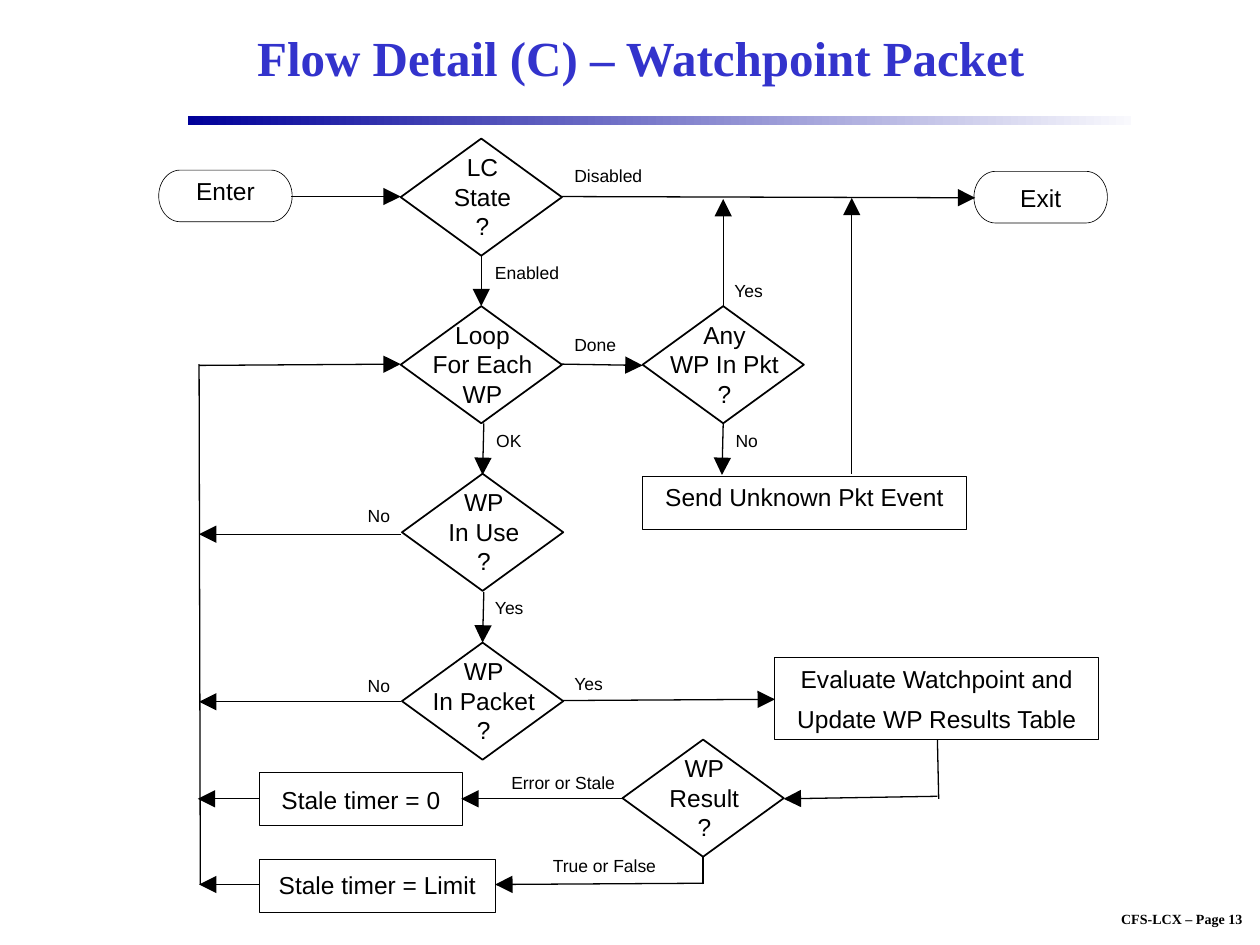
"""Build the watchpoint packet flow chart slide."""
from dataclasses import dataclass

from lxml.etree import SubElement
from pptx import Presentation
from pptx.dml.color import RGBColor
from pptx.enum.shapes import MSO_CONNECTOR, MSO_SHAPE
from pptx.enum.text import MSO_ANCHOR, MSO_AUTO_SIZE, PP_ALIGN
from pptx.oxml.ns import qn
from pptx.util import Inches, Pt


@dataclass(frozen=True)
class Theme:
    ink: RGBColor = RGBColor(0, 0, 0)
    title: RGBColor = RGBColor(0x33, 0x33, 0xCC)
    rule_dark: RGBColor = RGBColor(0, 0, 0x99)
    rule_light: RGBColor = RGBColor(0xF9, 0xF9, 0xFD)
    serif: str = "Times New Roman"
    sans: str = "Arial"
    title_size: float = 28
    node_size: float = 14
    label_size: float = 10
    footer_size: float = 8
    step_gap: float = 6.1
    flow_width: float = 0.75


THEME = Theme()
DIAMOND_WIDTH, DIAMOND_HEIGHT = 1.28, 0.93
BOX_HEIGHT, CAPTION_HEIGHT = 0.42, 0.34

# left, top, caption width, caption
DECISIONS = [
    (3.18, 1.1, 0.7, "LC\nState\n?"),
    (3.18, 2.43, 1.04, "Loop\nFor Each\nWP"),
    (3.19, 3.76, 0.82, "WP\nIn Use\n?"),
    (3.19, 5.1, 1.06, "WP\nIn Packet\n?"),
    (5.1, 2.43, 1.11, "Any\nWP In Pkt\n?"),
    (4.94, 5.87, 0.8, "WP\nResult\n?"),
]

# left, top, width, height, caption drop, caption
STEPS = [
    (5.1, 3.78, 2.57, BOX_HEIGHT, 0, "Send Unknown Pkt Event"),
    (2.06, 6.13, 1.61, BOX_HEIGHT, 0.05, "Stale timer = 0"),
    (2.06, 6.82, 1.87, BOX_HEIGHT, 0.04, "Stale timer = Limit"),
    (6.15, 5.22, 2.57, 0.65, 0, "Evaluate Watchpoint and\nUpdate WP Results Table"),
]

TERMINALS = [
    (1.26, 1.35, 1.06, 0.41, 0, "Enter"),
    (7.73, 1.36, 1.06, 0.41, 0.04, "Exit"),
]

# left, top, width, wording
BRANCH_LABELS = [
    (4.46, 1.26, 0.78, "Disabled"),
    (3.83, 2.03, 0.75, "Enabled"),
    (4.46, 2.6, 0.57, "Done"),
    (3.84, 3.36, 0.44, "OK"),
    (2.82, 3.96, 0.42, "No"),
    (2.82, 5.31, 0.42, "No"),
    (3.83, 4.69, 0.48, "Yes"),
    (4.46, 5.29, 0.48, "Yes"),
    (5.73, 2.17, 0.48, "Yes"),
    (5.74, 3.36, 0.42, "No"),
    (3.96, 6.08, 1.06, "Error or Stale"),
    (4.29, 6.74, 1.06, "True or False"),
]

# start x, start y, end x, end y
ARROWS = [
    (2.31, 1.56, 3.18, 1.56),
    (4.46, 1.56, 7.74, 1.57),
    (3.82, 2.03, 3.82, 2.43),
    (4.46, 2.89, 5.1, 2.9),
    (5.74, 2.43, 5.74, 1.58),
    (5.74, 3.36, 5.73, 3.77),
    (6.76, 3.76, 6.76, 1.57),
    (3.84, 3.36, 3.83, 3.77),
    (3.84, 4.7, 3.83, 5.1),
    (3.18, 4.24, 1.58, 4.24),
    (3.18, 5.57, 1.58, 5.57),
    (1.58, 2.9, 3.18, 2.89),
    (4.47, 5.56, 6.15, 5.55),
    (7.44, 6.32, 6.22, 6.34),
    (4.94, 6.34, 3.66, 6.34),
    (2.06, 6.34, 1.57, 6.34),
    (5.58, 7.01, 3.93, 7.02),
    (2.06, 7.02, 1.58, 7.02),
]

PLAIN_LINES = [
    (1.59, 7.02, 1.58, 2.89),
    (7.45, 6.34, 7.44, 5.87),
    (5.58, 7.02, 5.58, 6.8),
]


def add_text(slide, bounds, wording, size, font=THEME.sans, color=THEME.ink,
             bold=False, align=PP_ALIGN.CENTER, wrap=False, gap=0):
    """Add a text box with one paragraph per line of wording."""
    frame = slide.shapes.add_textbox(*map(Inches, bounds)).text_frame
    frame.word_wrap = wrap
    frame.auto_size = MSO_AUTO_SIZE.SHAPE_TO_FIT_TEXT
    frame.text = wording
    for position, paragraph in enumerate(frame.paragraphs):
        paragraph.alignment = align
        if position and gap:
            paragraph.space_before = Pt(gap)
        for run in paragraph.runs:
            run.font.name = font
            run.font.size = Pt(size)
            run.font.bold = bold
            run.font.color.rgb = color
    return frame


def add_outline(slide, preset, bounds, weight):
    """Add an unfilled preset shape with a thin outline."""
    outline = slide.shapes.add_shape(preset, *map(Inches, bounds))
    outline.shadow.inherit = False
    outline.fill.background()
    outline.line.color.rgb = THEME.ink
    outline.line.width = Pt(weight)


def add_decision(slide, left, top, caption_width, caption):
    """Add a diamond and its centred caption."""
    add_outline(slide, MSO_SHAPE.DIAMOND, (left, top, DIAMOND_WIDTH, DIAMOND_HEIGHT), 1)
    caption_left = left + (DIAMOND_WIDTH - caption_width) / 2 + 0.01
    add_text(slide, (caption_left, top + 0.06, caption_width, 0.8), caption, THEME.node_size)


def add_step(slide, preset, weight, left, top, width, height, drop, caption):
    """Add a box or terminal and its caption."""
    add_outline(slide, preset, (left, top, width, height), weight)
    caption_height = height if "\n" in caption else CAPTION_HEIGHT
    add_text(slide, (left, top + drop, width, caption_height), caption,
             THEME.node_size, wrap=True, gap=THEME.step_gap)


def add_flow(slide, ends, arrow=True):
    """Add a straight flow line, with an arrowhead at its end if wanted."""
    flow = slide.shapes.add_connector(MSO_CONNECTOR.STRAIGHT, *map(Inches, ends))
    flow.line.color.rgb = THEME.ink
    flow.line.width = Pt(THEME.flow_width)
    if arrow:
        SubElement(flow.line._get_or_add_ln(), qn("a:tailEnd"), type="triangle", w="lg", len="lg")
    SubElement(flow._element.spPr, qn("a:effectLst"))


def add_title_rule(slide):
    """Add the fading rule under the title."""
    rule = slide.shapes.add_shape(MSO_SHAPE.RECTANGLE, *map(Inches, (1.49, 0.92, 7.49, 0.07)))
    rule.shadow.inherit = False
    rule.line.fill.background()
    rule.fill.gradient()
    rule.fill.gradient_angle = 180
    for stop, color in zip(rule.fill.gradient_stops, (THEME.rule_light, THEME.rule_dark)):
        stop.color.rgb = color


def main():
    """Build and save the slide."""
    deck = Presentation()
    deck.slide_width, deck.slide_height = Inches(10), Inches(7.5)
    slide = deck.slides.add_slide(deck.slide_layouts[6])
    add_text(slide, (8.6, 7.18, 1.56, 0.23), "CFS-LCX – Page 13",
             THEME.footer_size, THEME.serif, bold=True)
    add_title_rule(slide)
    title = add_text(slide, (1.5, 0.08, 7.17, 0.75), "Flow Detail (C) – Watchpoint Packet",
                     THEME.title_size, THEME.serif, THEME.title, bold=True, wrap=True)
    title.auto_size = MSO_AUTO_SIZE.NONE
    title.vertical_anchor = MSO_ANCHOR.MIDDLE
    for ends in ARROWS:
        add_flow(slide, ends)
    for ends in PLAIN_LINES:
        add_flow(slide, ends, arrow=False)
    for terminal in TERMINALS:
        add_step(slide, MSO_SHAPE.FLOWCHART_TERMINATOR, 0.37, *terminal)
    for step in STEPS:
        add_step(slide, MSO_SHAPE.RECTANGLE, 0.5, *step)
    for decision in DECISIONS:
        add_decision(slide, *decision)
    for left, top, width, wording in BRANCH_LABELS:
        add_text(slide, (left, top, width, 0.27), wording, THEME.label_size, align=PP_ALIGN.LEFT)
    deck.save("out.pptx")


if __name__ == "__main__":
    main()
